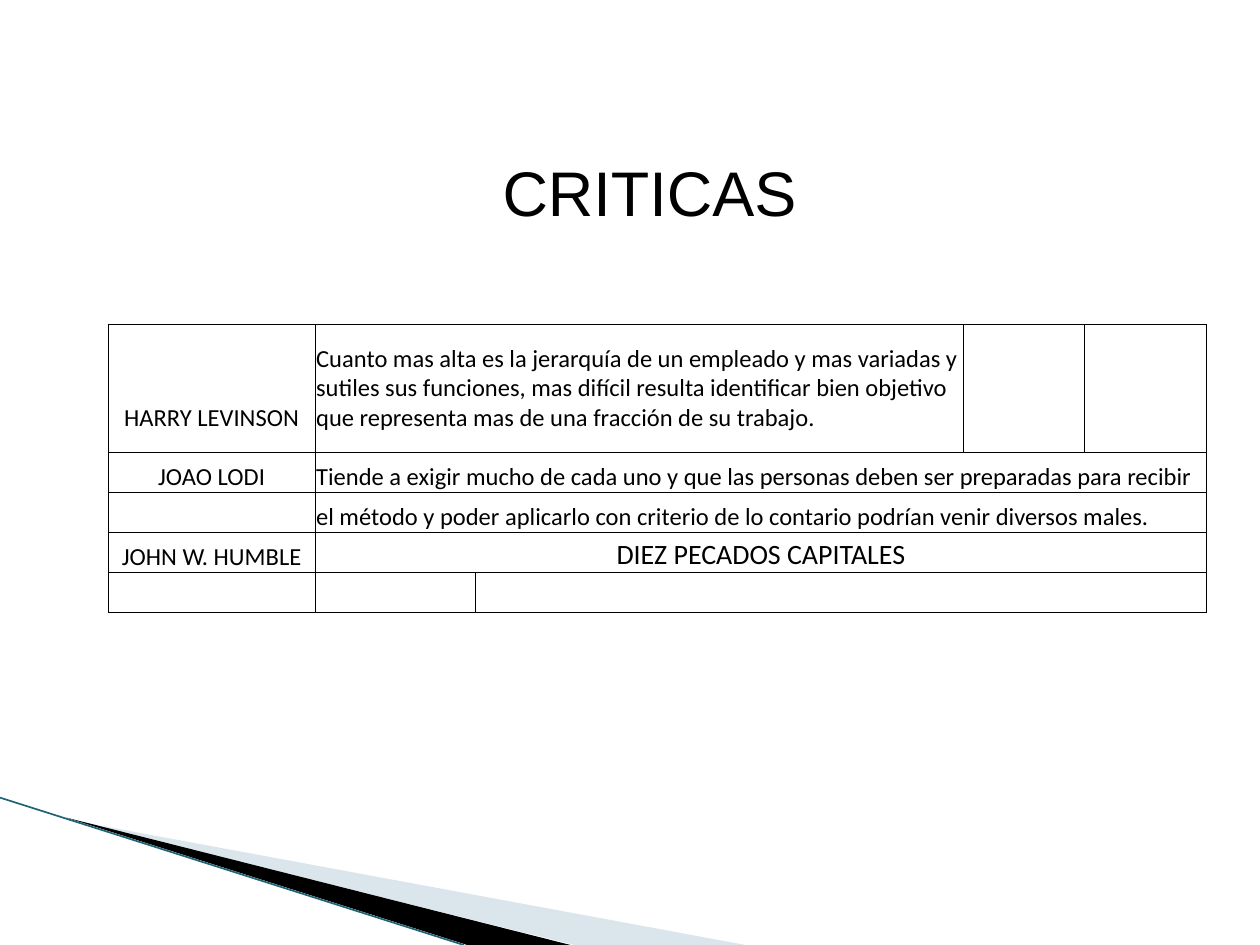
"""Build the slide of criticisms with its table and corner ornament."""
from dataclasses import dataclass

from lxml.etree import SubElement
from pptx import Presentation
from pptx.dml.color import RGBColor
from pptx.enum.shapes import MSO_CONNECTOR
from pptx.enum.text import MSO_ANCHOR, PP_ALIGN as Align
from pptx.oxml.ns import qn
from pptx.util import Pt


@dataclass(frozen=True)
class Theme:
    ink: str = "000000"
    pale: str = "A3C2CE"
    teal: str = "1F6378"
    title_font: str = "Arial"
    body_font: str = "Calibri"
    title_size: int = 36
    body_size: int = 14
    large_size: int = 16
    spacer_size: int = 6


THEME = Theme()
PLAIN_STYLE = "{2D5ABB26-0587-4C30-8999-92F81FD0307C}"
COLUMNS = [69.7, 48.6, 91.5] + [69.7] * 6
ROWS = [62.3, 10.8] + [22.9] * 4
ENTRIES = [
    (0, 0, 1, "HARRY LEVINSON", Align.CENTER, THEME.body_size),
    (0, 2, 6, "Cuanto mas alta es la jerarquía de un empleado y mas variadas y "
     "sutiles sus funciones, mas difícil resulta identificar bien objetivo "
     "que representa mas de una fracción de su trabajo.", Align.LEFT, THEME.body_size),
    (1, 2, 6, "", Align.LEFT, THEME.spacer_size),
    (2, 0, 1, "JOAO LODI", Align.CENTER, THEME.body_size),
    (2, 2, 8, "Tiende a exigir mucho de cada uno y que las personas deben ser "
     "preparadas para recibir", Align.LEFT, THEME.body_size),
    (3, 2, 8, "el método y poder aplicarlo con criterio de lo contario podrían "
     "venir diversos males.", Align.LEFT, THEME.body_size),
    (4, 0, 1, "JOHN W. HUMBLE", Align.CENTER, THEME.body_size),
    (4, 2, 8, "DIEZ PECADOS CAPITALES", Align.CENTER, THEME.large_size),
]
BLOCKS = [(0, 0, 1), (0, 2, 6), (0, 7, 8), (2, 0, 1), (2, 2, 8), (4, 0, 1), (4, 2, 8)]


def style_font(font, name, size):
    font.name = name
    font.size = Pt(size)
    font.color.rgb = RGBColor.from_string(THEME.ink)


def add_title(page, text):
    box = page.shapes.title
    box.left, box.top, box.width, box.height = Pt(180), Pt(84.2), Pt(382.3), Pt(50.4)
    frame = box.text_frame
    frame.text = text
    frame.vertical_anchor = MSO_ANCHOR.TOP
    para = frame.paragraphs[0]
    para.alignment = Align.CENTER
    style_font(para.font, THEME.title_font, THEME.title_size)


def add_wedge(page, points, color, alpha=100):
    start, *rest = [(Pt(x), Pt(y)) for x, y in points]
    builder = page.shapes.build_freeform(*start)
    builder.add_line_segments(rest, close=True)
    wedge = builder.convert_to_shape()
    wedge.shadow.inherit = False
    wedge.line.fill.background()
    wedge.fill.solid()
    wedge.fill.fore_color.rgb = RGBColor.from_string(color)
    if alpha < 100:
        tint = wedge.fill._xPr.find(".//" + qn("a:srgbClr"))
        SubElement(tint, qn("a:alpha"), val=str(alpha * 1000))


def add_line(page, start, end):
    points = [Pt(value) for value in (*start, *end)]
    line = page.shapes.add_connector(MSO_CONNECTOR.STRAIGHT, *points)
    line.line.width = Pt(0.95)
    line.line.color.rgb = RGBColor.from_string(THEME.teal)
    SubElement(line._element.spPr, qn("a:effectLst"))


def reset_cell(cell):
    cell.margin_left = cell.margin_top = cell.margin_right = Pt(0.6)
    cell.margin_bottom = 0
    cell.vertical_anchor = MSO_ANCHOR.BOTTOM
    para = cell.text_frame.paragraphs[0]
    SubElement(para._p, qn("a:endParaRPr"), sz=str(THEME.spacer_size * 100))


def fill_entry(table, row, first, last, text, align, size):
    cell = table.cell(row, first)
    cell.merge(table.cell(row, last))
    if text:
        para = cell.text_frame.paragraphs[0]
        para.add_run().text = text
        para.alignment = align
        style_font(para.font, THEME.body_font, size)


def border_cell(cell, sides):
    properties = cell._tc.get_or_add_tcPr()
    for side in sides:
        edge = SubElement(properties, qn("a:ln" + side), w=str(Pt(0.5)))
        fill = SubElement(edge, qn("a:solidFill"))
        SubElement(fill, qn("a:srgbClr"), val=THEME.ink)


def outline_block(table, top, first, last):
    for row in (top, top + 1):
        for column in range(first, last + 1):
            cell = table.cell(row, column)
            reach = column + (cell.span_width if cell.is_merge_origin else 1) - 1
            edges = {"L": column == first, "R": reach == last or column == last,
                     "T": row == top, "B": row == top + 1}
            border_cell(cell, [side for side, drawn in edges.items() if drawn])
            cell.fill.background()


def add_critics_table(page):
    frame = page.shapes.add_table(len(ROWS), len(COLUMNS), Pt(61.8), Pt(185.3),
                                  Pt(sum(COLUMNS)), Pt(sum(ROWS)))
    table = frame.table
    table.first_row = table.horz_banding = False
    table._tbl.tblPr.find(qn("a:tableStyleId")).text = PLAIN_STYLE
    for column, width in zip(table.columns, COLUMNS):
        column.width = Pt(width)
    for row, height in zip(table.rows, ROWS):
        row.height = Pt(height)
    for cell in table.iter_cells():
        reset_cell(cell)
    for entry in ENTRIES:
        fill_entry(table, *entry)
    for block in BLOCKS:
        outline_block(table, *block)


def main():
    deck = Presentation()
    deck.slide_width, deck.slide_height = Pt(720), Pt(540)
    page = deck.slides.add_slide(deck.slide_layouts[5])
    add_wedge(page, [(39.6, 468.5), (426, 540), (328.3, 540)], THEME.pale, 40)
    add_wedge(page, [(38.2, 467.3), (326, 540), (267, 540)], THEME.ink)
    add_line(page, (0, 455.8), (265, 540))
    add_title(page, "CRITICAS")
    add_critics_table(page)
    deck.save("out.pptx")


if __name__ == "__main__":
    main()
